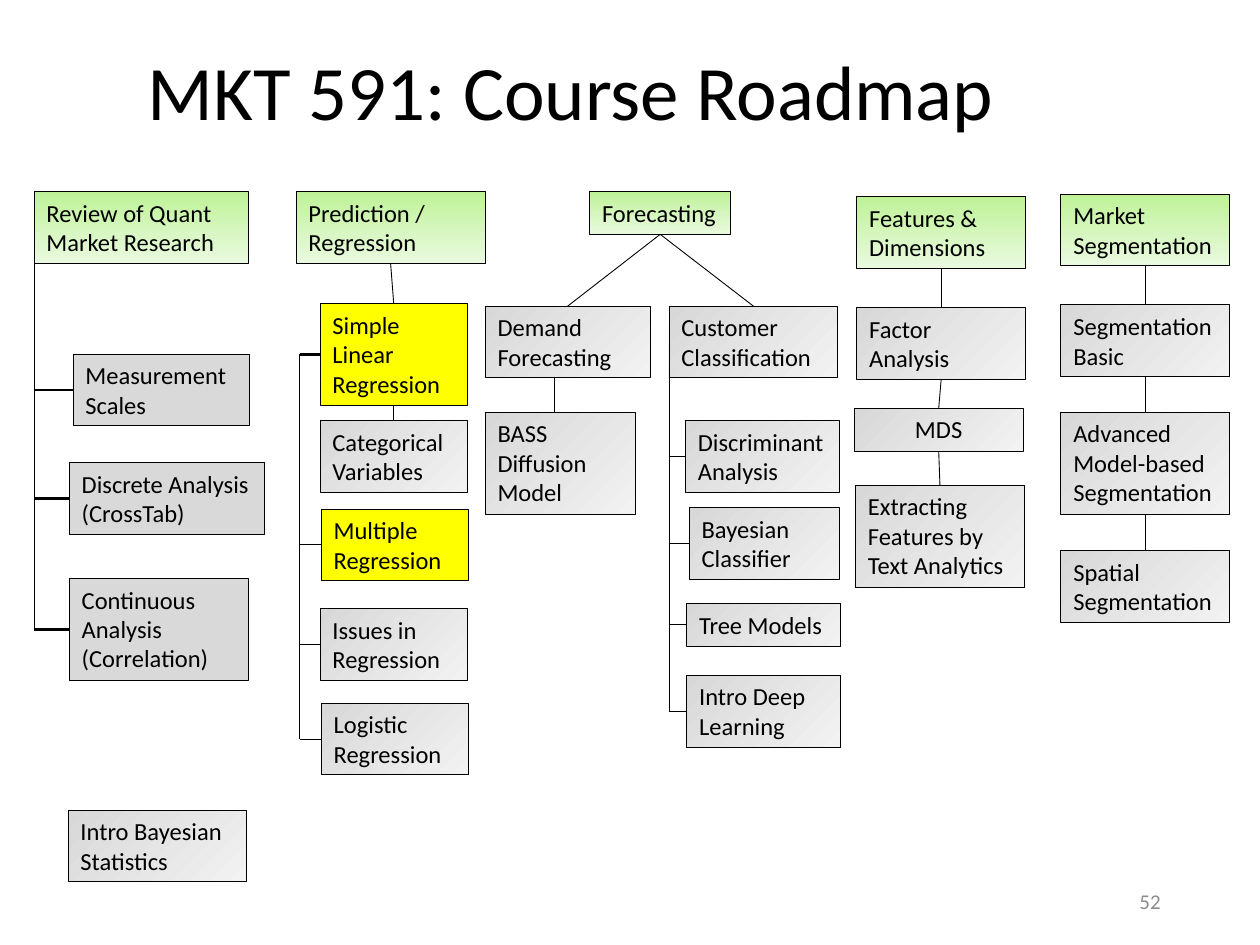
from lxml.etree import SubElement
from pptx import Presentation
from pptx.dml.color import RGBColor
from pptx.enum.shapes import MSO_CONNECTOR, MSO_SHAPE
from pptx.enum.text import MSO_ANCHOR, MSO_AUTO_SIZE, PP_ALIGN
from pptx.oxml.ns import qn
from pptx.util import Inches, Pt

FONT = "Calibri"
COLORS = {"black": "000000", "number": "8C8C8C", "plain": "D9D9D9", "yellow": "FFFF00"}
# start colour, end colour, angle (counter-clockwise)
GRADIENTS = {"green": ("BEF297", "EAFAE0", 270), "gray": ("D8D8D8", "F2F2F2", 315)}
HEIGHTS = {1: 0.34, 2: 0.57, 3: 0.81}  # box height by number of text lines
TOP, LEFT, BOTTOM = 0, 1, 2  # connection sites

# text, left, top, width, text lines, fill
BOXES = [
    ("Review of Quant Market Research", 0.27, 1.52, 1.7, 2, "green"),
    ("Measurement Scales", 0.58, 2.81, 1.4, 2, "plain"),
    ("Discrete Analysis (CrossTab)", 0.55, 3.67, 1.55, 2, "plain"),
    ("Continuous Analysis (Correlation)", 0.55, 4.59, 1.42, 3, "plain"),
    ("Intro Bayesian Statistics", 0.54, 6.43, 1.42, 2, "gray"),
    ("Prediction / Regression", 2.35, 1.52, 1.5, 2, "green"),
    ("Simple Linear Regression", 2.54, 2.41, 1.17, 3, "yellow"),
    ("Categorical Variables", 2.54, 3.34, 1.17, 2, "gray"),
    ("Multiple Regression", 2.55, 4.04, 1.17, 2, "yellow"),
    ("Issues in Regression", 2.54, 4.83, 1.17, 2, "gray"),
    ("Logistic Regression", 2.55, 5.58, 1.17, 2, "gray"),
    ("Forecasting", 4.68, 1.52, 1.12, 1, "green"),
    ("Demand Forecasting", 3.85, 2.43, 1.31, 2, "gray"),
    ("BASS Diffusion Model", 3.85, 3.27, 1.19, 3, "gray"),
    ("Customer Classification", 5.31, 2.43, 1.34, 2, "gray"),
    ("Discriminant Analysis", 5.44, 3.34, 1.22, 2, "gray"),
    ("Bayesian Classifier", 5.47, 4.03, 1.19, 2, "gray"),
    ("Tree Models", 5.45, 4.79, 1.22, 1, "gray"),
    ("Intro Deep Learning", 5.45, 5.36, 1.22, 2, "gray"),
    ("Features & Dimensions", 6.8, 1.56, 1.34, 2, "green"),
    ("Factor Analysis", 6.8, 2.44, 1.34, 2, "gray"),
    ("MDS", 6.78, 3.24, 1.34, 1, "gray"),
    ("Extracting Features by Text Analytics", 6.79, 3.85, 1.34, 3, "gray"),
    ("Market Segmentation", 8.42, 1.54, 1.34, 2, "green"),
    ("Segmentation Basic", 8.42, 2.42, 1.34, 2, "gray"),
    ("Advanced Model-based Segmentation", 8.42, 3.27, 1.34, 3, "gray"),
    ("Spatial Segmentation", 8.42, 4.37, 1.34, 2, "gray"),
]
CENTERED = {"MDS"}

# each box is joined, bottom to top, to the next one
CHAINS = [
    ("Prediction / Regression", "Simple Linear Regression", "Categorical Variables"),
    ("Forecasting", "Demand Forecasting"),
    ("Forecasting", "Customer Classification"),
    ("Features & Dimensions", "Factor Analysis", "MDS",
     "Extracting Features by Text Analytics"),
    ("Market Segmentation", "Segmentation Basic",
     "Advanced Model-based Segmentation", "Spatial Segmentation"),
]

# trunk x, trunk top, [(box, line width of its branch)]
TREES = [
    (0.27, 2.09, [("Measurement Scales", 1.5), ("Discrete Analysis (CrossTab)", 1.5),
                  ("Continuous Analysis (Correlation)", 1.5)]),
    (2.38, 2.81, [("Simple Linear Regression", 1.5), ("Multiple Regression", 0.5),
                  ("Issues in Regression", 0.5), ("Logistic Regression", 0.5)]),
    (5.31, 2.77, [("Discriminant Analysis", 0.5), ("Bayesian Classifier", 0.5),
                  ("Tree Models", 0.5), ("Intro Deep Learning", 0.5)]),
]
DEMAND_LINE = (4.4, 3.0, 4.4, 3.27)


def rgb(name):
    return RGBColor.from_string(COLORS.get(name, name))


def add_text(tf, text, size, color="black", align=PP_ALIGN.LEFT):
    p = tf.paragraphs[0]
    p.alignment = align
    r = p.add_run()
    r.text = text
    r.font.name = FONT
    r.font.size = Pt(size)
    r.font.color.rgb = rgb(color)
    return p


def add_box(shapes, text, left, top, width, lines, fill):
    sp = shapes.add_shape(MSO_SHAPE.RECTANGLE, Inches(left), Inches(top),
                          Inches(width), Inches(HEIGHTS[lines]))
    sp.shadow.inherit = False
    if fill in GRADIENTS:
        *ends, angle = GRADIENTS[fill]
        sp.fill.gradient()
        sp.fill.gradient_angle = angle
        for stop, color in zip(sp.fill.gradient_stops, ends):
            stop.color.rgb = rgb(color)
    else:
        sp.fill.solid()
        sp.fill.fore_color.rgb = rgb(fill)
    sp.line.color.rgb = rgb("black")
    sp.line.width = Pt(0.5)
    tf = sp.text_frame
    tf.word_wrap = True
    tf.auto_size = MSO_AUTO_SIZE.SHAPE_TO_FIT_TEXT
    tf.vertical_anchor = MSO_ANCHOR.TOP
    add_text(tf, text, 14, align=PP_ALIGN.CENTER if text in CENTERED else PP_ALIGN.LEFT)
    return sp


def add_line(shapes, x1, y1, x2, y2, width=0.5):
    """Draw a line between two points given in EMU."""
    line = shapes.add_connector(MSO_CONNECTOR.STRAIGHT, x1, y1, x2, y2)
    line.line.color.rgb = rgb("black")
    line.line.width = Pt(width)
    SubElement(line._element.spPr, qn("a:effectLst"))
    return line


def main():
    prs = Presentation()
    prs.slide_width, prs.slide_height = Inches(10), Inches(7.5)
    s = prs.slides.add_slide(prs.slide_layouts[5])
    shapes = s.shapes

    title = shapes.title
    title.left, title.top = Inches(1.07), Inches(0.03)
    title.width, title.height = Inches(7.27), Inches(1.45)
    title.text_frame.vertical_anchor = MSO_ANCHOR.MIDDLE
    add_text(title.text_frame, "MKT 591: Course Roadmap", 44).line_spacing = 0.9

    number = shapes.add_textbox(Inches(7.06), Inches(6.95), Inches(2.25), Inches(0.4))
    number.text_frame.word_wrap = True
    number.text_frame.vertical_anchor = MSO_ANCHOR.MIDDLE
    add_text(number.text_frame, "52", 12, "number", PP_ALIGN.RIGHT)

    boxes = {box[0]: add_box(shapes, *box) for box in BOXES}

    for chain in CHAINS:
        for upper, lower in zip(chain, chain[1:]):
            line = add_line(shapes, 0, 0, 0, 0)
            line.begin_connect(boxes[upper], BOTTOM)
            line.end_connect(boxes[lower], TOP)

    for x, top, branches in TREES:
        x = Inches(x)
        for name, width in branches:
            sp = boxes[name]
            y = sp.top + sp.height // 2
            line = add_line(shapes, x, y, sp.left, y, width)
            line.end_connect(sp, LEFT)
        add_line(shapes, x, Inches(top), x, y)

    add_line(shapes, *map(Inches, DEMAND_LINE))
    prs.save("out.pptx")


if __name__ == "__main__":
    main()
